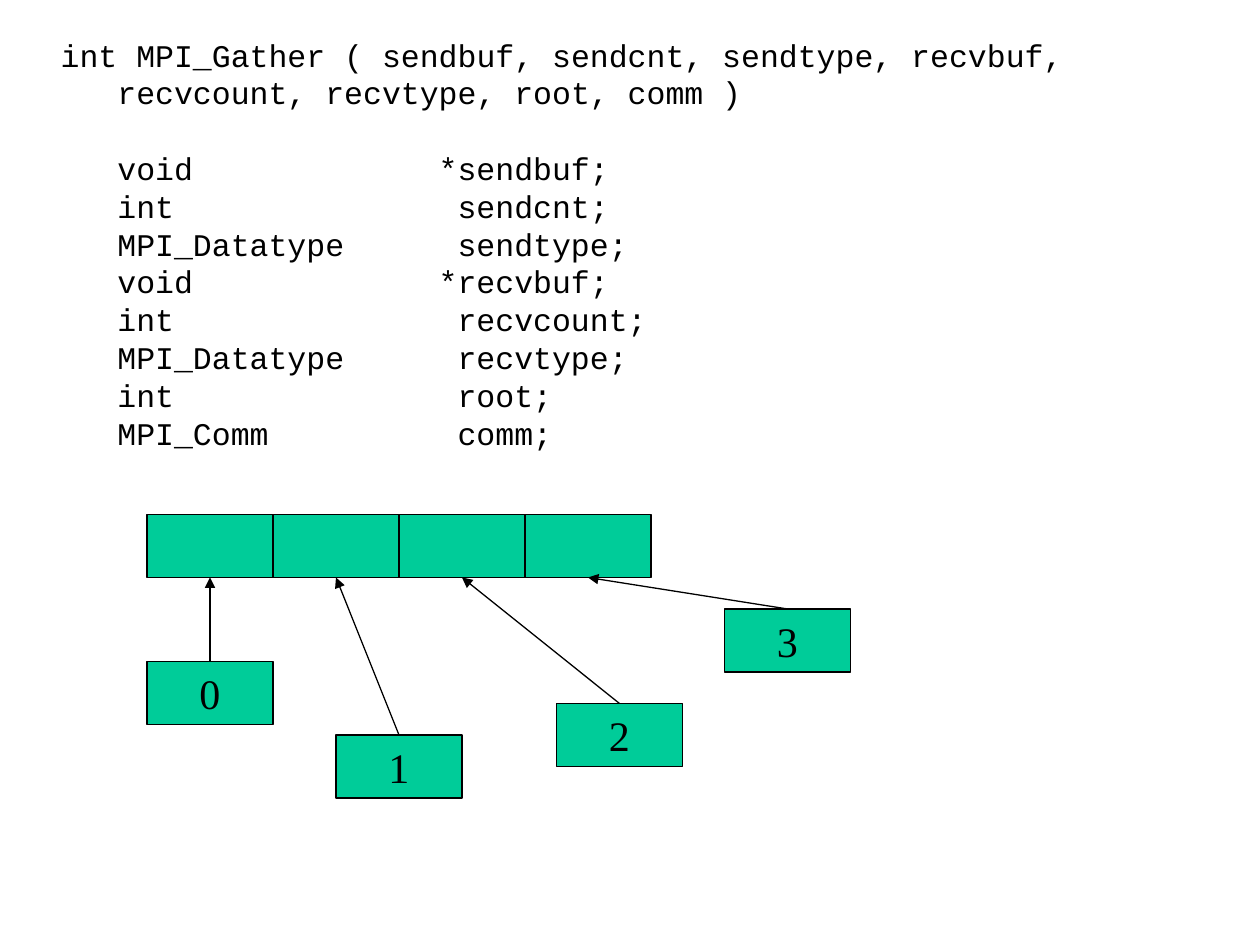
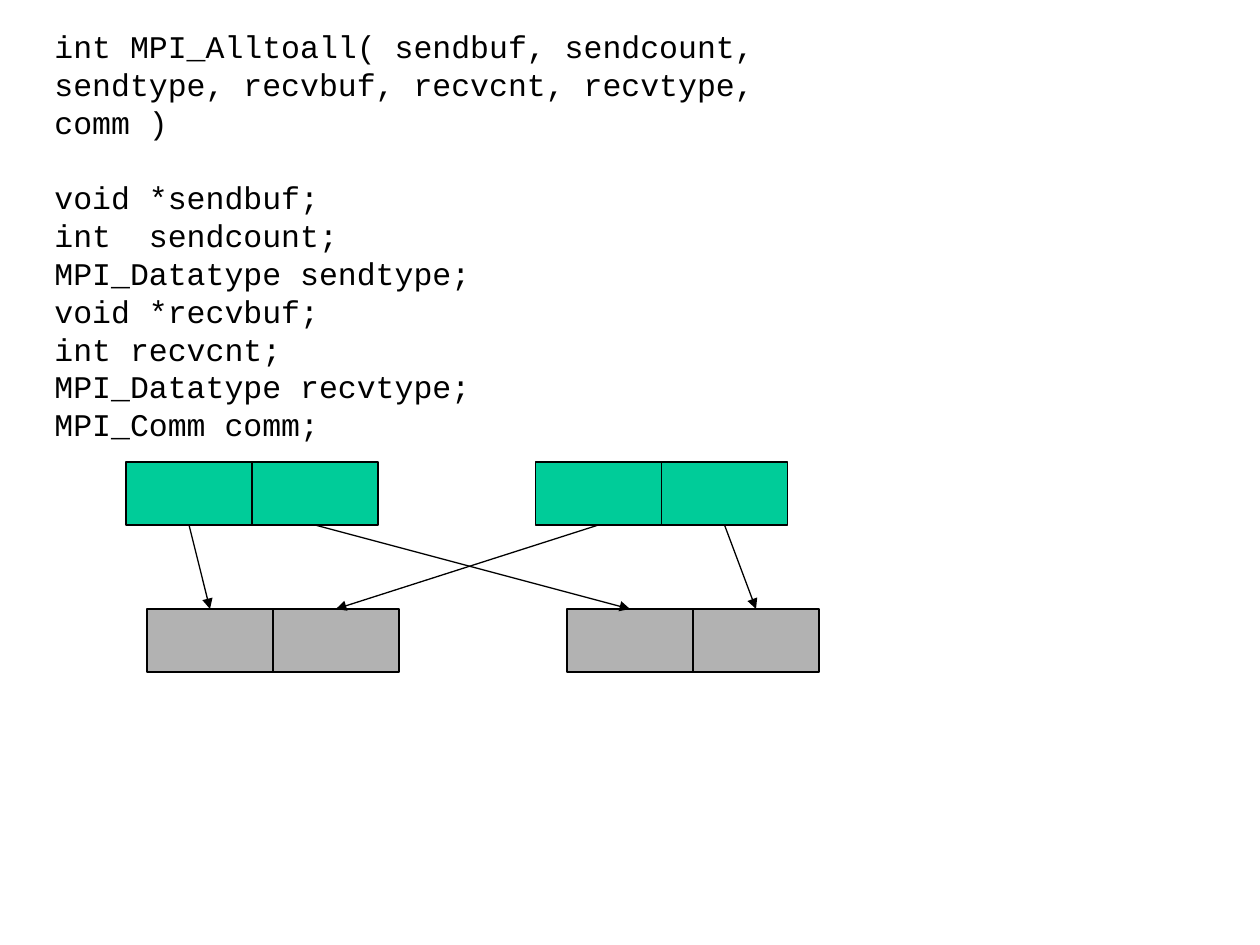
from dataclasses import dataclass

from lxml import etree
from pptx import Presentation
from pptx.dml.color import RGBColor
from pptx.enum.shapes import MSO_CONNECTOR, MSO_SHAPE
from pptx.enum.text import MSO_ANCHOR, PP_ALIGN
from pptx.oxml.ns import qn
from pptx.util import Pt

RECT = MSO_SHAPE.RECTANGLE
STRAIGHT = MSO_CONNECTOR.STRAIGHT
LEFT, CENTER = PP_ALIGN.LEFT, PP_ALIGN.CENTER
TOP, MIDDLE = MSO_ANCHOR.TOP, MSO_ANCHOR.MIDDLE
TOP_SIDE, BOTTOM_SIDE = 0, 2
EMU_PER_PX = 7620  # 120 px to the inch
CELL_W, CELL_H = 120, 60


@dataclass(frozen=True)
class Theme:
    ink: RGBColor = RGBColor(0, 0, 0)
    green: RGBColor = RGBColor(0x00, 0xCC, 0x99)
    grey: RGBColor = RGBColor(0xB2, 0xB2, 0xB2)
    code_font: str = "Courier New"
    label_font: str = "Times New Roman"
    code_size: int = 18
    label_size: int = 24
    code_line: float = 21.6
    line_width: float = 0.75


THEME = Theme()

GATHER_HEAD = [
    "int MPI_Gather ( sendbuf, sendcnt, sendtype, recvbuf,",
    "   recvcount, recvtype, root, comm )",
]
GATHER_ARGS = [
    "   void\t*sendbuf;",
    "   int\t sendcnt;",
    "   MPI_Datatype\t sendtype;",
    "   void\t*recvbuf;",
    "   int\t recvcount;",
    "   MPI_Datatype\t recvtype;",
    "   int\t root;",
    "   MPI_Comm\t comm;",
]
ALLTOALL_HEAD = [
    "int MPI_Alltoall( sendbuf, sendcount,",
    "sendtype, recvbuf, recvcnt, recvtype, comm )",
]
ALLTOALL_ARGS = [
    "void *sendbuf;",
    "int  sendcount;",
    "MPI_Datatype sendtype;",
    "void *recvbuf;",
    "int recvcnt;",
    "MPI_Datatype recvtype;",
    "MPI_Comm comm;",
]


def px(*lengths):
    return [n * EMU_PER_PX for n in lengths]


def add_tab(p, pos):
    tabs = etree.SubElement(p._p.get_or_add_pPr(), qn("a:tabLst"))
    etree.SubElement(tabs, qn("a:tab"), pos=str(pos * EMU_PER_PX), algn="l")


def write(p, text, font=THEME.label_font, size=THEME.label_size,
          align=LEFT, before=0, line=None, tab=None):
    if tab:
        add_tab(p, tab)
    p.alignment = align
    if before:
        p.space_before = Pt(before)
    if line:
        p.line_spacing = Pt(line)
    r = p.add_run()
    r.text = text
    r.font.name = font
    r.font.size = Pt(size)
    r.font.color.rgb = THEME.ink


def add_code(s, x, y, w, h, head, args, tab=None):
    """Show a function's signature and, one line below it, its arguments."""
    tf = s.shapes.add_textbox(*px(x, y, w, h)).text_frame
    tf.word_wrap = True
    tf.vertical_anchor = TOP
    for i, text in enumerate(head + args):
        p = tf.paragraphs[0] if i == 0 else tf.add_paragraph()
        write(p, text, font=THEME.code_font, size=THEME.code_size,
              before=THEME.code_line if i == len(head) else 0,
              line=THEME.code_line, tab=tab)


def add_cell(s, x, y, fill=THEME.green, label=None):
    sp = s.shapes.add_shape(RECT, *px(x, y, CELL_W, CELL_H))
    sp.shadow.inherit = False
    sp.fill.solid()
    sp.fill.fore_color.rgb = fill
    sp.line.color.rgb = THEME.ink
    sp.line.width = Pt(THEME.line_width)
    if label:
        tf = sp.text_frame
        tf.word_wrap = False
        tf.vertical_anchor = MIDDLE
        write(tf.paragraphs[0], label, align=CENTER)
    return sp


def add_buffer(s, x, y, count, fill=THEME.green):
    """Draw a row of touching cells."""
    return [add_cell(s, x + i * CELL_W, y, fill) for i in range(count)]


def add_arrow(s, source, source_side, target, target_side):
    cx = s.shapes.add_connector(STRAIGHT, 0, 0, 0, 0)
    cx.begin_connect(source, source_side)
    cx.end_connect(target, target_side)
    cx.line.color.rgb = THEME.ink
    cx.line.width = Pt(THEME.line_width)
    etree.SubElement(cx.line._get_or_add_ln(), qn("a:tailEnd"), type="triangle")
    etree.SubElement(cx._element.spPr, qn("a:effectLst"))


def build_gather(s):
    root_buffer = add_buffer(s, 140, 490, 4)
    places = [(140, 630), (320, 700), (530, 670), (690, 580)]
    processes = [add_cell(s, x, y, label=str(rank))
                 for rank, (x, y) in enumerate(places)]
    for process, slot in zip(processes, root_buffer):
        add_arrow(s, process, TOP_SIDE, slot, BOTTOM_SIDE)
    add_code(s, 46, 28, 996, 444, GATHER_HEAD, GATHER_ARGS, tab=360)


def build_alltoall(s):
    add_code(s, 40, 20, 812, 480, ALLTOALL_HEAD, ALLTOALL_ARGS)
    send = [add_buffer(s, x, 440, 2) for x in (120, 510)]
    recv = [add_buffer(s, x, 580, 2, THEME.grey) for x in (140, 540)]
    for i, row in enumerate(send):
        for j, block in enumerate(row):
            add_arrow(s, block, BOTTOM_SIDE, recv[j][i], TOP_SIDE)


def main():
    prs = Presentation()
    prs.slide_width, prs.slide_height = px(1200, 900)
    blank = prs.slide_layouts[6]
    for build in (build_gather, build_alltoall):
        build(prs.slides.add_slide(blank))
    prs.save("out.pptx")


if __name__ == "__main__":
    main()
